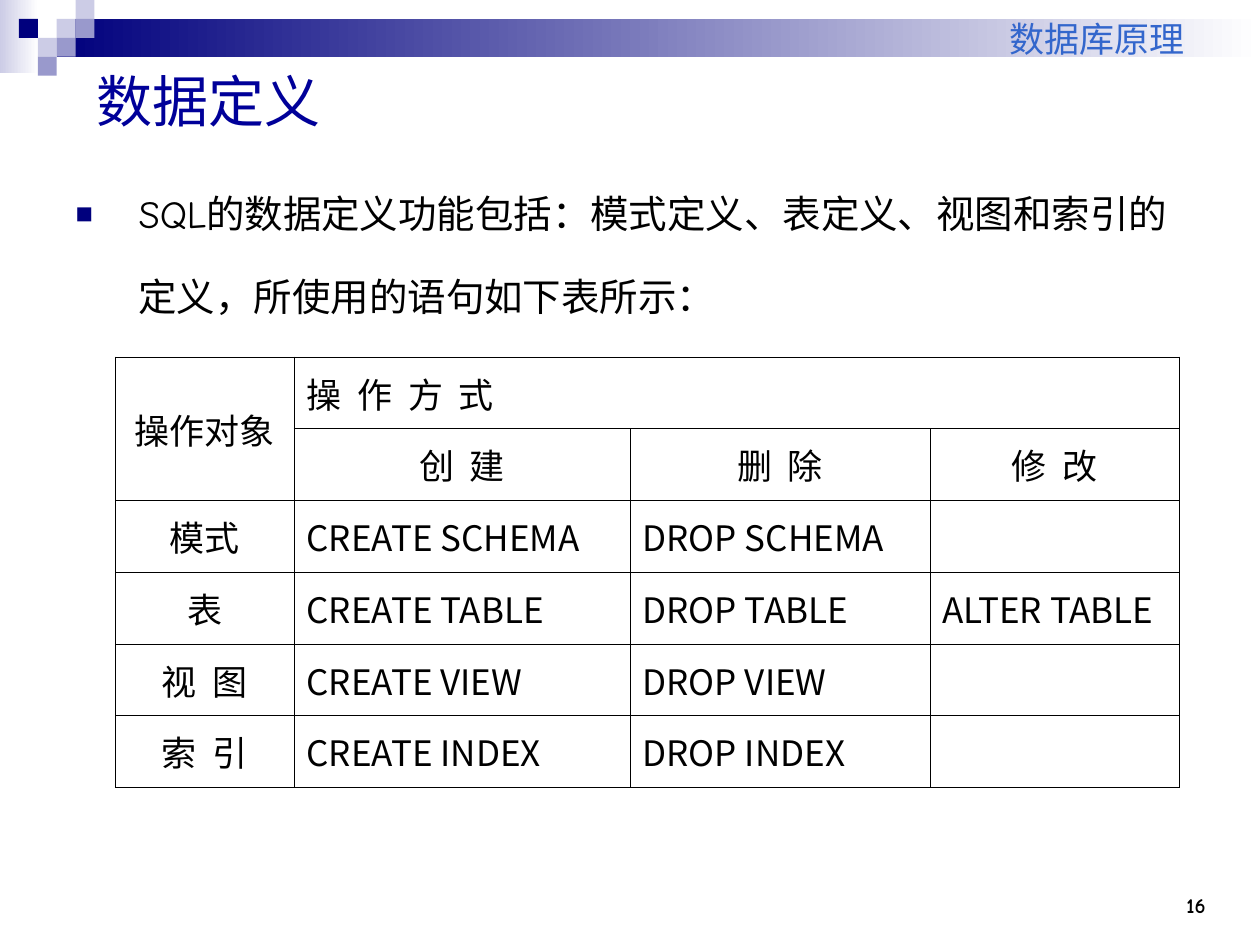
from dataclasses import dataclass

from lxml.etree import SubElement as Sub
from pptx import Presentation
from pptx.dml.color import RGBColor as RGB
from pptx.enum.shapes import MSO_SHAPE as Shape
from pptx.enum.text import MSO_ANCHOR as Anchor, MSO_AUTO_SIZE as Auto, PP_ALIGN as Align
from pptx.oxml.ns import qn
from pptx.util import Pt


@dataclass(frozen=True)
class Theme:
    navy: str = "00007D"
    mid: str = "9999CC"
    pale: str = "CCCCE6"
    white: str = "FFFFFF"
    black: str = "000000"
    title: str = "000099"
    head: str = "3366CC"
    font: str = "Comic Neue"
    grid: str = "Noto Sans CJK SC"
    big: int = 32
    body: int = 22
    cell: int = 20
    small: int = 12
    line: float = 0.45


T = Theme()
STEP = 10.8  # side of one checker square

# Checker squares: column, row, colour
CHECKS = [
    (3, 1, T.pale), (4, 0, T.pale), (4, 1, T.mid), (2, 2, T.pale),
    (1, 1, T.navy), (3, 2, T.mid), (2, 3, T.mid),
]

WIDTHS = [102, 192, 171.5, 142.5]
ROW = 41
ROWS = [
    ["操作对象", "操  作  方  式", "", ""],
    ["", "创  建", "删  除", "修  改"],
    ["模式", "CREATE SCHEMA", "DROP SCHEMA", ""],
    ["表", "CREATE TABLE", "DROP TABLE", "ALTER TABLE"],
    ["视  图", "CREATE VIEW", "DROP VIEW", ""],
    ["索  引", "CREATE INDEX", "DROP INDEX", ""],
]


def style(para, size, color, name=T.font, align=Align.LEFT, bold=False):
    para.alignment = align
    font = para.font
    font.name, font.size, font.bold = name, Pt(size), bold
    font.color.rgb = RGB.from_string(color)


def place(item, left, top, width, height):
    item.left, item.top = Pt(left), Pt(top)
    item.width, item.height = Pt(width), Pt(height)


def block(slide, left, top, width, height, color, end=None):
    """Plain rectangle, fading to the end colour when one is given."""
    box = slide.shapes.add_shape(
        Shape.RECTANGLE, Pt(left), Pt(top), Pt(width), Pt(height))
    box.shadow.inherit = False
    box.line.fill.background()
    if end:
        box.fill.gradient()
        box.fill.gradient_angle = 0
        for stop, tone, pos in zip(box.fill.gradient_stops, (color, end), (0, 1)):
            stop.color.rgb = RGB.from_string(tone)
            stop.position = pos
    else:
        box.fill.solid()
        box.fill.fore_color.rgb = RGB.from_string(color)


def label(slide, text, area, size, color, bold=False, inset=7.2):
    """Right-aligned text standing on the bottom of its box."""
    frame = slide.shapes.add_textbox(*map(Pt, area)).text_frame
    frame.word_wrap = True
    frame.vertical_anchor = Anchor.BOTTOM
    frame.margin_right = Pt(inset)
    frame.text = text
    style(frame.paragraphs[0], size, color, align=Align.RIGHT, bold=bold)


def bullet(para, indent):
    props = para._p.get_or_add_pPr()
    props.set("marL", str(Pt(indent)))
    props.set("indent", str(-Pt(indent)))
    Sub(Sub(props, qn("a:buClr")), qn("a:srgbClr"), val=T.navy)
    Sub(props, qn("a:buSzPct"), val="75000")
    Sub(props, qn("a:buChar"), char="■")


def border(cell):
    props = cell._tc.get_or_add_tcPr()
    for side in ("lnL", "lnR", "lnT", "lnB"):
        line = Sub(props, qn(f"a:{side}"), w=str(Pt(T.line)))
        Sub(Sub(line, qn("a:solidFill")), qn("a:srgbClr"), val=T.black)


def table(slide, left, top):
    grid = slide.shapes.add_table(
        len(ROWS), len(WIDTHS), Pt(left), Pt(top),
        Pt(sum(WIDTHS)), Pt(ROW * len(ROWS))).table
    grid.first_row = grid.horz_banding = False
    for col, width in zip(grid.columns, WIDTHS):
        col.width = Pt(width)
    for r, texts in enumerate(ROWS):
        grid.rows[r].height = Pt(ROW)
        for c, text in enumerate(texts):
            cell = grid.cell(r, c)
            cell.text = text
            cell.vertical_anchor = Anchor.MIDDLE
            mid = c == 0 or r == 1
            style(cell.text_frame.paragraphs[0], T.cell, T.black, T.grid,
                  Align.CENTER if mid else Align.LEFT)
            border(cell)
            cell.fill.background()
    grid.cell(0, 0).merge(grid.cell(1, 0))
    grid.cell(0, 1).merge(grid.cell(0, 3))


def banner(slide):
    block(slide, 0, 0, 22, 42, T.pale, T.white)
    block(slide, 3 * STEP, STEP, 720 - 3 * STEP, 2 * STEP, T.navy, T.white)
    for col, row, color in CHECKS:
        block(slide, col * STEP, row * STEP, STEP, STEP, color)


def title(slide, text):
    item = slide.shapes.title
    place(item, 48, 30, 648, 54)
    frame = item.text_frame
    frame.text = text
    frame.auto_size = Auto.NONE
    frame.vertical_anchor = Anchor.MIDDLE
    style(frame.paragraphs[0], T.big, T.title)


def body(slide, text):
    item = slide.placeholders[1]
    place(item, 36, 84, 660, 420)
    frame = item.text_frame
    frame.text = text
    frame.auto_size = Auto.NONE
    para = frame.paragraphs[0]
    bullet(para, 36)
    para.line_spacing = 1.8
    para.space_before = Pt(0)
    style(para, T.body, T.black)


def main():
    deck = Presentation()
    deck.slide_width, deck.slide_height = Pt(720), Pt(540)
    slide = deck.slides.add_slide(deck.slide_layouts[1])

    # Banner, running head and page number
    banner(slide)
    label(slide, "数据库原理", (276, 0, 426, 37.5), T.cell, T.head, inset=25)
    label(slide, "16", (636, 492, 60, 36), T.small, T.black, bold=True)

    # Title and text
    title(slide, "数据定义")
    body(slide, "SQL的数据定义功能包括：模式定义、表定义、视图和索引的定义，"
                "所使用的语句如下表所示：")

    # Statements by object
    table(slide, 66, 204)
    deck.save("out.pptx")


if __name__ == "__main__":
    main()
